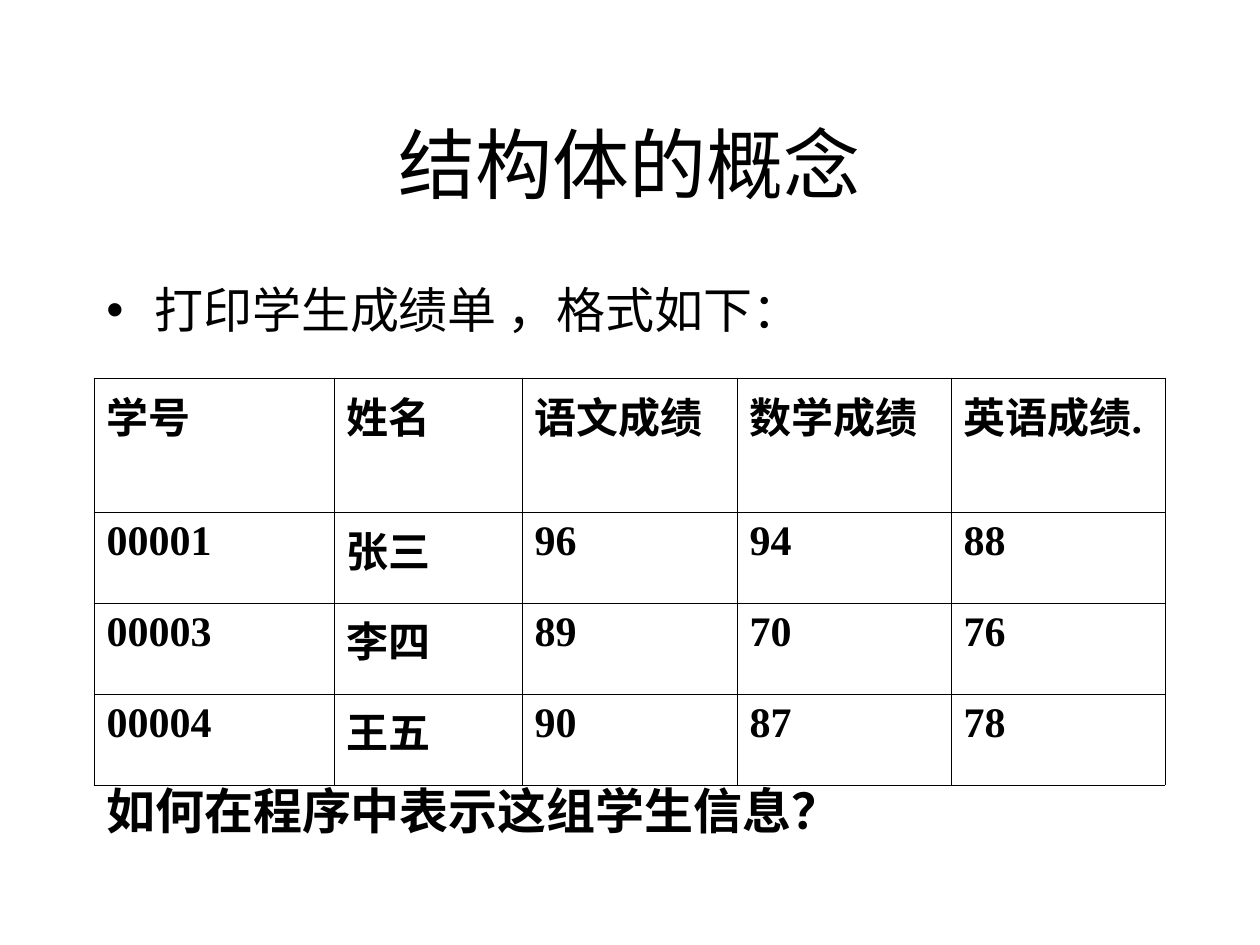
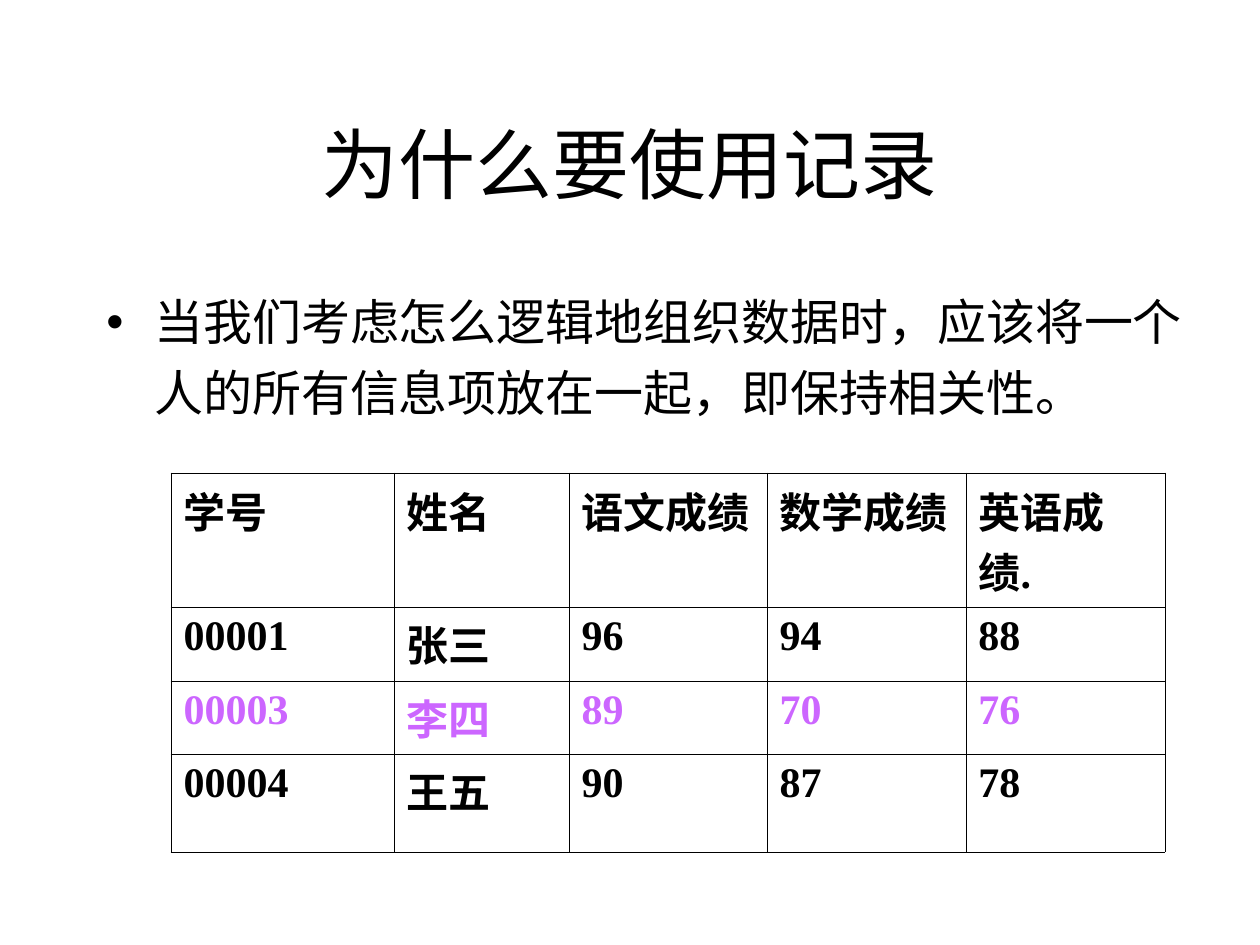
"""Build two slides about structures and records, each with a table of student marks."""
from lxml.etree import SubElement
from pptx import Presentation
from pptx.dml.color import RGBColor
from pptx.enum.text import MSO_ANCHOR, MSO_AUTO_SIZE, PP_ALIGN
from pptx.oxml import parse_xml
from pptx.oxml.ns import qn
from pptx.util import Pt

PX = 914400 / 126
BLACK, VIOLET, WHITE = "000000", "CC66FF", "FFFFFF"
LATIN, SERIF, CHINESE = "Arial", "Times New Roman", "Noto Sans CJK SC"
TITLE_AREA = (94, 84, 1071, 158)
BULLET_INDENT = 48
TOP_MARGIN = 7
NAMESPACE = "http://schemas.openxmlformats.org/drawingml/2006/main"

MARKS = [
    ("学号", "姓名", "语文成绩", "数学成绩", "英语成绩."),
    ("00001", "张三", "96", "94", "88"),
    ("00003", "李四", "89", "70", "76"),
    ("00004", "王五", "90", "87", "78"),
]

PAGES = [
    {
        "title": "结构体的概念",
        "bullet": ("打印学生成绩单 ，格式如下：", (94, 273, 1071, 105), LATIN, 1.0),
        "table": {"corner": (94, 378), "columns": (240, 188, 215, 214, 214),
                  "rows": (134, 91, 91, 91), "hanging": 66, "marked_row": None},
        "question": ("如何在程序中表示这组学生信息？", (94, 774, 1031, 72)),
    },
    {
        "title": "为什么要使用记录",
        "bullet": ("当我们考虑怎么逻辑地组织数据时，应该将一个人的所有信息项放在一起，即保持相关性。",
                   (94, 273, 1106, 194), CHINESE, 1.2),
        "table": {"corner": (171, 473), "columns": (223, 175, 198, 199, 199),
                  "rows": (134, 74, 73, 98), "hanging": 0, "marked_row": 2},
    },
]


def emu(pixels):
    return round(pixels * PX)


def colour(value):
    return RGBColor.from_string(value)


def set_font(para, name, size, bold=False, value=BLACK):
    font = para.font
    font.size, font.bold, font.name = Pt(size), bold, name
    font.color.rgb = colour(value)
    defaults = para._p.get_or_add_pPr().find(qn("a:defRPr"))
    SubElement(defaults, qn("a:ea")).set("typeface", CHINESE)


def set_hanging(para, pixels):
    properties = para._p.get_or_add_pPr()
    properties.set("marL", str(emu(pixels)))
    properties.set("indent", str(-emu(pixels)))
    return properties


def add_title(page, text):
    title = page.shapes.title
    title.left, title.top, title.width, title.height = map(emu, TITLE_AREA)
    frame = title.text_frame
    frame.text = text
    frame.auto_size = MSO_AUTO_SIZE.NONE
    frame.vertical_anchor = MSO_ANCHOR.MIDDLE
    para = frame.paragraphs[0]
    para.alignment = PP_ALIGN.CENTER
    set_font(para, LATIN, 44)


def add_text(page, text, area):
    frame = page.shapes.add_textbox(*map(emu, area)).text_frame
    frame.word_wrap = True
    frame.margin_top = emu(TOP_MARGIN)
    frame.text = text
    return frame.paragraphs[0]


def add_bullet(page, text, area, font_name, line_spacing):
    para = add_text(page, text, area)
    para.line_spacing = line_spacing
    properties = set_hanging(para, BULLET_INDENT)
    SubElement(properties, qn("a:buFont")).set("typeface", LATIN)
    SubElement(properties, qn("a:buChar")).set("char", "•")
    set_font(para, font_name, 28)


def add_borders(cell):
    properties = cell._tc.get_or_add_tcPr()
    for position, side in enumerate(("lnL", "lnR", "lnT", "lnB")):
        properties.insert(position, parse_xml(
            f'<a:{side} xmlns:a="{NAMESPACE}" w="{Pt(0.45)}"><a:solidFill>'
            f'<a:srgbClr val="{BLACK}"/></a:solidFill></a:{side}>'))


def add_marks(page, corner, columns, rows, hanging, marked_row):
    area = (*corner, sum(columns), sum(rows))
    table = page.shapes.add_table(len(rows), len(columns), *map(emu, area)).table
    table.first_row = table.horz_banding = False
    for column, width in zip(table.columns, columns):
        column.width = emu(width)
    for row_index, (row, height) in enumerate(zip(table.rows, rows)):
        row.height = emu(height)
        value = VIOLET if row_index == marked_row else BLACK
        for cell, text in zip(row.cells, MARKS[row_index]):
            cell.text = text
            cell.fill.background()
            add_borders(cell)
            para = cell.text_frame.paragraphs[0]
            set_hanging(para, hanging).set("hangingPunct", "0")
            set_font(para, SERIF, 24, True, value)


def main():
    deck = Presentation()
    deck.slide_width, deck.slide_height = emu(1260), emu(945)
    for content in PAGES:
        page = deck.slides.add_slide(deck.slide_layouts[5])
        page.background.fill.solid()
        page.background.fill.fore_color.rgb = colour(WHITE)
        add_title(page, content["title"])
        add_bullet(page, *content["bullet"])
        add_marks(page, **content["table"])
        if "question" in content:
            set_font(add_text(page, *content["question"]), LATIN, 28, True)
    deck.save("out.pptx")


if __name__ == "__main__":
    main()
